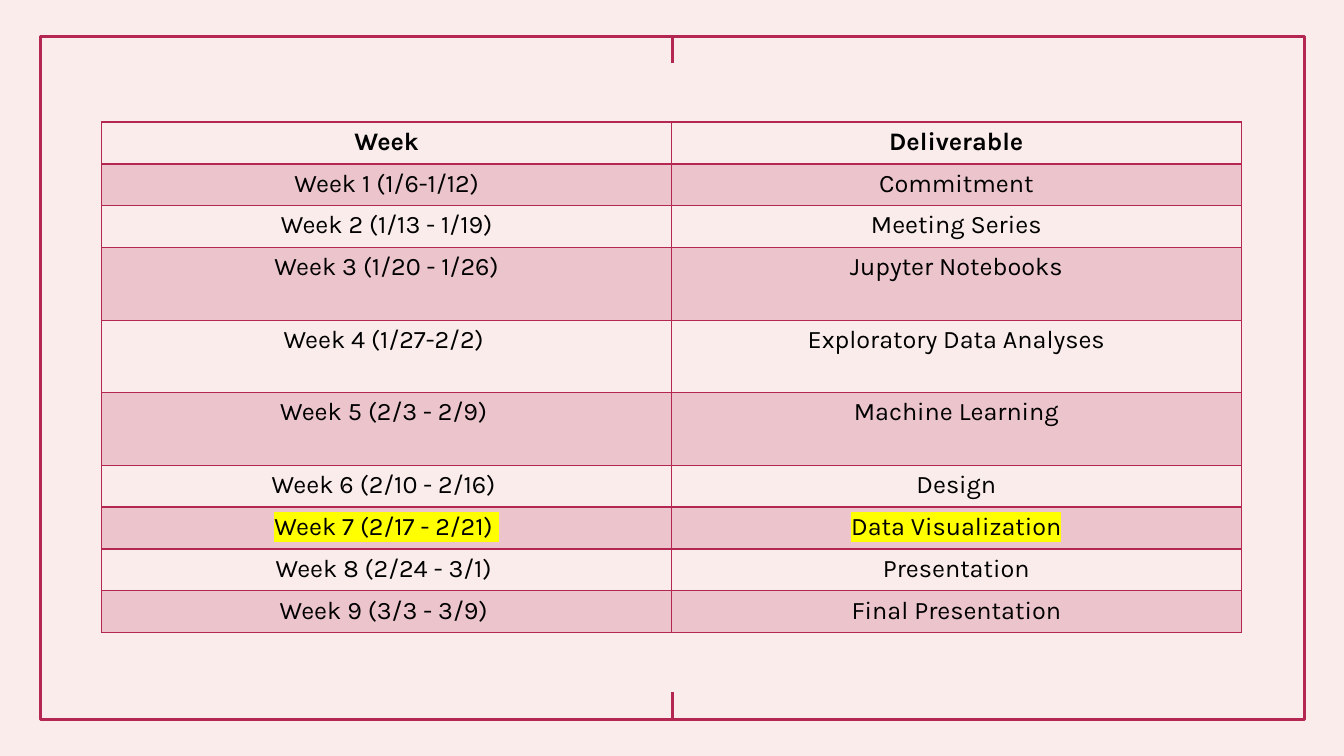
from lxml import etree
from pptx import Presentation
from pptx import util as u
from pptx.dml.color import RGBColor
from pptx.enum import shapes, text
from pptx.oxml import ns

ROSE = RGBColor(0xB3, 0x27, 0x52)
BLUSH = RGBColor(0xFA, 0xEC, 0xEB)
BLACK = RGBColor(0, 0, 0)
YELLOW = RGBColor(0xFF, 0xFF, 0)
WIDE, HIGH = u.Inches(13.33), u.Inches(7.5)
BODY = {"name": "Karla", "size": u.Pt(18), "bold": False}
HEAD = {**BODY, "bold": True}
TALL = u.Inches(0.72)
TALL_ROWS = {3, 4, 5}
NOW = 7
PLAN = [
    ("Week", "Deliverable"),
    ("Week 1 (1/6-1/12)", "Commitment"),
    ("Week 2 (1/13 - 1/19)", "Meeting Series"),
    ("Week 3 (1/20 - 1/26)", "Jupyter Notebooks"),
    ("Week 4 (1/27-2/2) ", "Exploratory Data Analyses"),
    ("Week 5 (2/3 - 2/9) ", "Machine Learning"),
    ("Week 6 (2/10 - 2/16) ", "Design"),
    ("Week 7 (2/17 - 2/21) ", "Data Visualization"),
    ("Week 8 (2/24 - 3/1) ", "Presentation"),
    ("Week 9 (3/3 - 3/9) ", "Final Presentation"),
]


def sub(node, tag, **attrs):
    return etree.SubElement(node, ns.qn(tag), attrs)


def stroke(shape):
    shape.line.color.rgb = ROSE
    shape.line.width = u.Pt(2.25)


def draw_frame(slide, left, top, width, height):
    frame = slide.shapes.add_shape(
        shapes.MSO_SHAPE.RECTANGLE, left, top, width, height)
    frame.shadow.inherit = False
    frame.fill.background()
    stroke(frame)
    mid, tick = left + width // 2, u.Inches(0.27)
    for start, end in ((top, top + tick),
                       (top + height - tick, top + height)):
        mark = slide.shapes.add_connector(
            shapes.MSO_CONNECTOR.STRAIGHT, mid, start, mid, end)
        stroke(mark)
        sub(mark.element.spPr, "a:effectLst")


def edge_cell(cell, edges):
    props = cell._tc.get_or_add_tcPr()
    for side in "LRTB":
        line = sub(props, "a:ln" + side, w=str(u.Pt(edges.get(side, 1))))
        sub(sub(line, "a:solidFill"), "a:srgbClr", val=str(ROSE))


def tint_cell(cell):
    cell.fill.solid()
    cell.fill.fore_color.rgb = ROSE
    color = cell._tc.tcPr.find(".//" + ns.qn("a:solidFill") + "[last()]")
    color = cell._tc.tcPr.findall(ns.qn("a:solidFill"))[0][0]
    sub(color, "a:alpha", val="20000")


def write_cell(cell, words, style, marked):
    para = cell.text_frame.paragraphs[0]
    para.alignment = text.PP_ALIGN.CENTER
    run = para.add_run()
    run.text = words
    for key, value in style.items():
        setattr(run.font, key, value)
    run.font.color.rgb = BLACK
    if marked:
        props = run._r.rPr
        light = sub(props, "a:highlight")
        sub(light, "a:srgbClr", val=str(YELLOW))
        props.find(ns.qn("a:solidFill")).addnext(light)


def draw_plan(slide, left, top, width, height):
    table = slide.shapes.add_table(
        len(PLAN), 2, left, top, width, height).table
    table.first_row = table.horz_banding = False
    short = (height - len(TALL_ROWS) * TALL) // (len(PLAN) - len(TALL_ROWS))
    for col in table.columns:
        col.width = width // 2
    for row, pair in enumerate(PLAN):
        table.rows[row].height = TALL if row in TALL_ROWS else short
        edges = {0: {"B": 2}, 1: {"T": 2}}.get(row, {})
        for col, words in enumerate(pair):
            cell = table.cell(row, col)
            edge_cell(cell, edges)
            if row % 2:
                tint_cell(cell)
            else:
                cell.fill.background()
            write_cell(cell, words, BODY if row else HEAD, row == NOW)


def main():
    deck = Presentation()
    deck.slide_width, deck.slide_height = WIDE, HIGH
    slide = deck.slides.add_slide(deck.slide_layouts[6])
    slide.background.fill.solid()
    slide.background.fill.fore_color.rgb = BLUSH
    draw_frame(slide, *map(u.Inches, (0.4, 0.36, 12.54, 6.78)))
    draw_plan(slide, *map(u.Inches, (1.01, 1.21, 11.3, 5.07)))
    deck.save("out.pptx")


if __name__ == "__main__":
    main()
